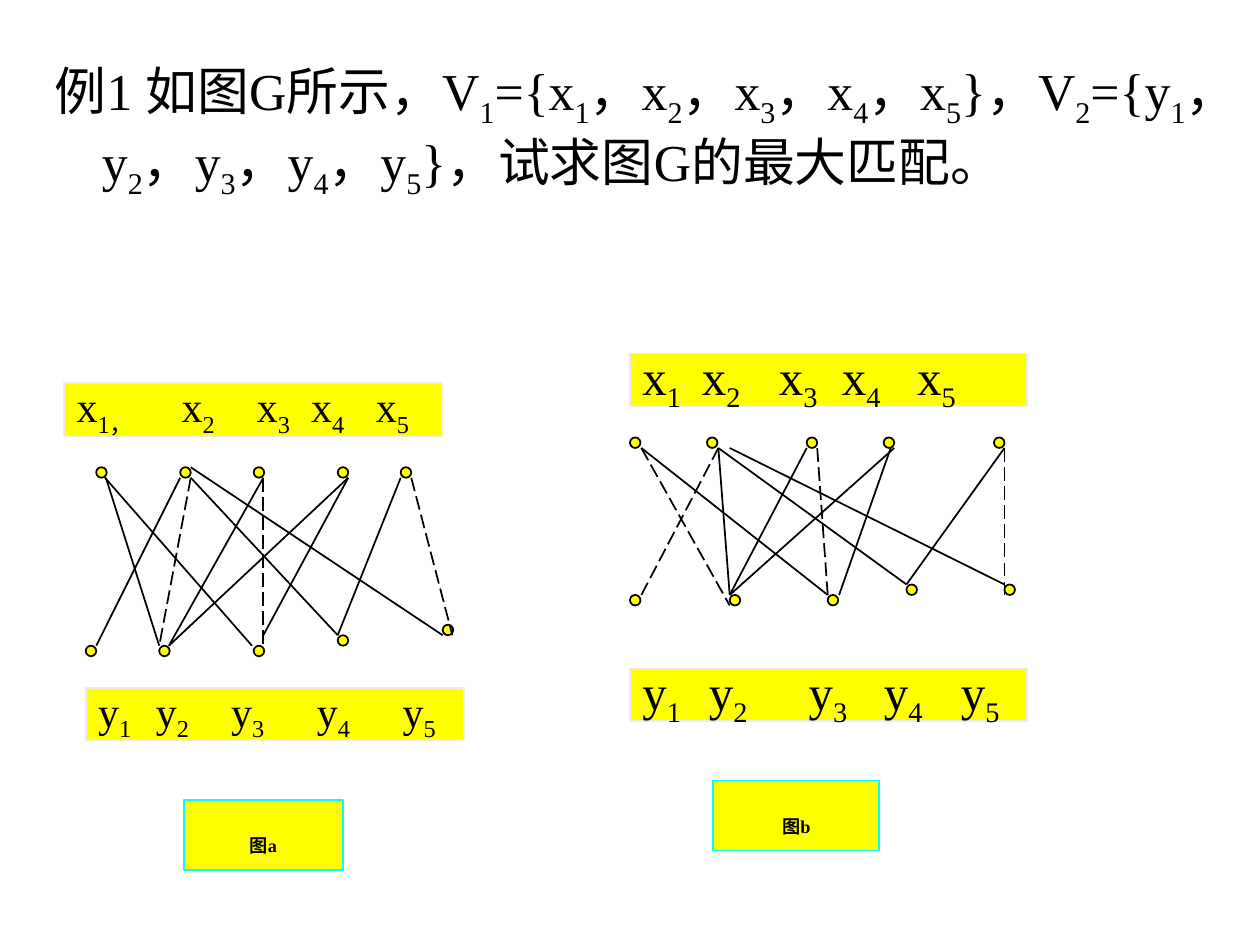
from lxml.etree import SubElement
from pptx import Presentation
from pptx.dml.color import RGBColor
from pptx.enum.dml import MSO_LINE
from pptx.enum.shapes import MSO_CONNECTOR as CONN, MSO_SHAPE as SHAPE
from pptx.enum.text import MSO_ANCHOR, MSO_AUTO_SIZE, PP_ALIGN
from pptx.oxml.ns import qn
from pptx.util import Pt

COLORS = {"yellow": "FFFF00", "black": "000000", "gray": "EEECE1", "cyan": "00FFFF"}
FONT = "Times New Roman"


def rgb(name):
    return RGBColor.from_string(COLORS[name])


def write(p, text, size=24, bold=False, align=PP_ALIGN.LEFT, tabs=()):
    """Write text into a paragraph; the character after "_" is a subscript."""
    p.alignment = align
    if tabs:
        tab_list = SubElement(p._p.get_or_add_pPr(), qn("a:tabLst"))
        for pos in tabs:
            SubElement(tab_list, qn("a:tab"), pos=str(Pt(pos)), algn="l")
    first, *rest = text.split("_")
    pieces = [(first, False)]
    for part in rest:
        pieces += [(part[0], True), (part[1:], False)]
    for piece, lowered in pieces:
        if not piece:
            continue
        r = p.add_run()
        r.text = piece
        r.font.name, r.font.size, r.font.bold = FONT, Pt(size), bold
        r.font.color.rgb = rgb("black")
        if lowered:
            r.font._element.set("baseline", "-25000")


prs = Presentation()
prs.slide_width, prs.slide_height = Pt(720), Pt(540)
s = prs.slides.add_slide(prs.slide_layouts[1])
title = s.shapes.title._element
title.getparent().remove(title)

body = s.placeholders[1]
body.left, body.top, body.width, body.height = Pt(24), Pt(30), Pt(696), Pt(109.5)
tf = body.text_frame
tf.auto_size = MSO_AUTO_SIZE.NONE
p = tf.paragraphs[0]
pPr = p._p.get_or_add_pPr()
pPr.set("marL", str(Pt(27)))
pPr.set("indent", str(Pt(-27)))
SubElement(pPr, qn("a:buNone"))
xs, ys = ("，".join(f"{v}_{i}" for i in range(1, 6)) for v in "xy")
write(p, f"例1 如图G所示，V_1={{{xs}}}，V_2={{{ys}}}，试求图G的最大匹配。", size=29.6)

figures = [
    {
        "size": 24,
        "strips": [
            ("x_1_，\tx_2\tx_3\tx_4\tx_5", 36.7, 219, 216, (60, 103, 134, 171)),
            ("y_1\ty_2\ty_3\ty_4\ty_5", 49, 393, 216, (33, 76, 125, 174)),
        ],
        "dots": [(x, 267) for x in (55, 103, 145, 193, 229)]
        + [(49, 369), (91, 369), (145, 369), (193, 363), (253, 357)],
        "solid": [
            (60.5, 273, 91, 369), (60, 273, 144, 369), (103, 273, 55, 369),
            (109, 273, 193, 363), (109, 267, 253, 363), (150.5, 273, 96.5, 369),
            (199, 273, 96.5, 369), (199, 273, 150.5, 363), (229, 273, 193, 363),
        ],
        "dashed": [(235, 273, 258.5, 363), (150.5, 273, 150.5, 369), (109, 273, 91, 369)],
        "caption": ("_图_a", 105, 457, 91, 40),
    },
    {
        "size": 28,
        "strips": [
            ("x_1\tx_2\tx_3\tx_4\tx_5", 360, 202, 227, (34, 78, 114, 157)),
            ("y_1\ty_2\ty_3\ty_4\ty_5", 360, 382, 227, (38, 95, 138, 182)),
        ],
        "dots": [(x, 250) for x in (360, 404, 461, 505, 568)]
        + [(360, 340), (417, 340), (473, 340), (518, 334), (574, 334)],
        "solid": [
            (366.5, 256, 473, 340), (410.5, 256, 417, 340), (410.5, 256, 518, 334),
            (417, 256, 574, 334), (461, 256, 417, 340), (511, 256, 417, 340),
            (509, 256, 479.5, 340), (574, 256, 518, 334),
        ],
        "dashed": [
            (366.5, 256, 417, 346), (366.5, 340, 410.5, 256),
            (467, 256, 473, 340), (574, 256, 574, 340),
        ],
        "caption": ("_图_b", 407.5, 446, 95, 40),
    },
]

for fig in figures:
    group = s.shapes.add_group_shape().shapes
    caption, *place = fig["caption"]
    centred = {"size": 18, "bold": True, "align": PP_ALIGN.CENTER}
    boxes = [(SHAPE.RECTANGLE, (x, y, w, 30), "gray", text, {"size": fig["size"], "tabs": tabs})
             for text, x, y, w, tabs in fig["strips"]]
    boxes += [(SHAPE.OVAL, (x, y, 6, 6), "black", "", {}) for x, y in fig["dots"]]
    boxes.append((SHAPE.RECTANGLE, place, "cyan", caption, centred))
    for kind, rect, edge, text, fmt in boxes:
        sp = group.add_shape(kind, *map(Pt, rect))
        sp.shadow.inherit = False
        sp.fill.solid()
        sp.fill.fore_color.rgb = rgb("yellow")
        sp.line.color.rgb = rgb(edge)
        sp.line.width = Pt(1)
        if text:
            tf = sp.text_frame
            tf.word_wrap = True
            tf.vertical_anchor = MSO_ANCHOR.MIDDLE
            write(tf.paragraphs[0], text, **fmt)

    for style in ("solid", "dashed"):
        for ends in fig[style]:
            line = group.add_connector(CONN.STRAIGHT, *map(Pt, ends))
            line.line.color.rgb = rgb("black")
            line.line.width = Pt(1)
            if style == "dashed":
                line.line.dash_style = MSO_LINE.LONG_DASH
            SubElement(line._element.spPr, qn("a:effectLst"))

prs.save("out.pptx")
